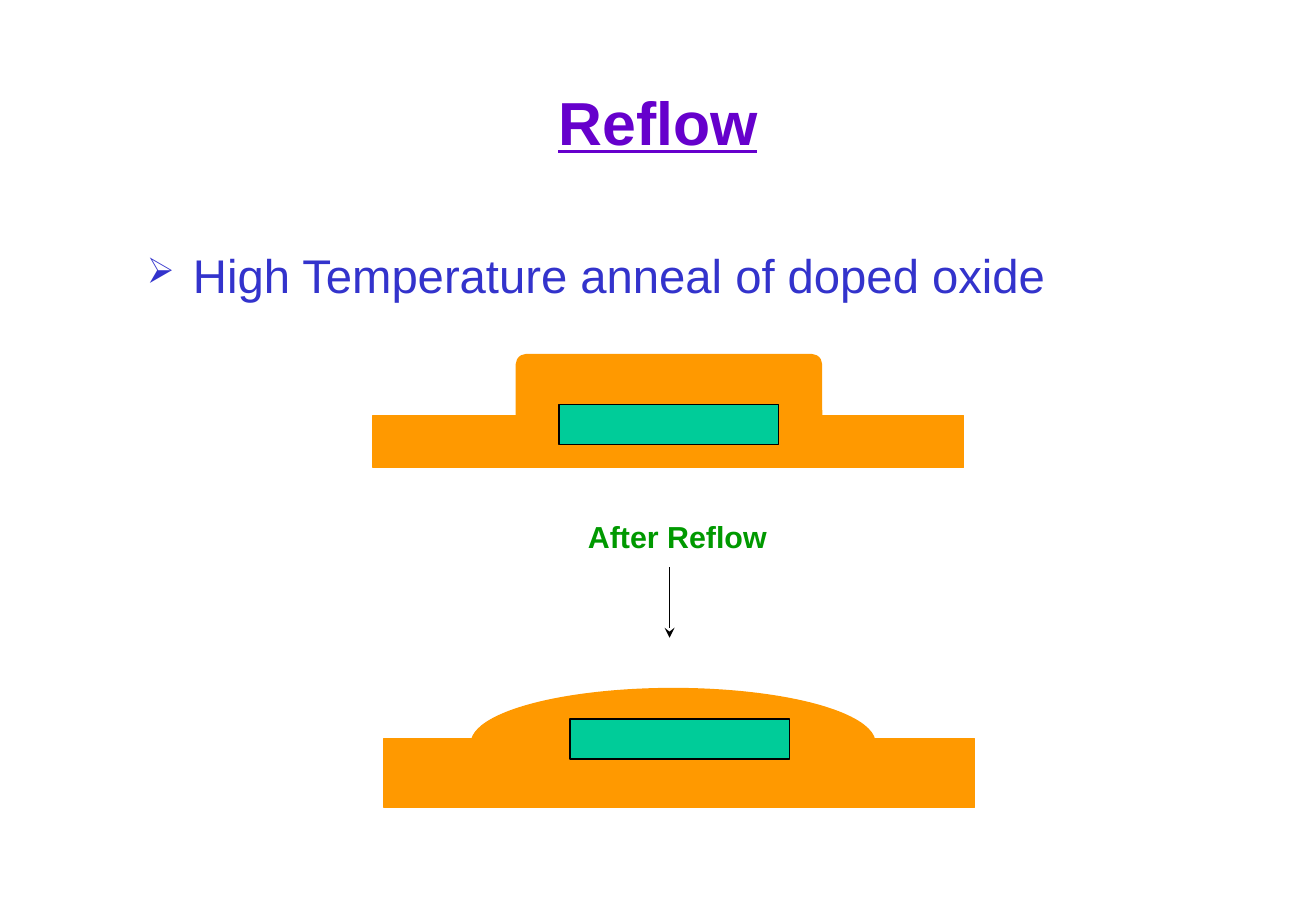
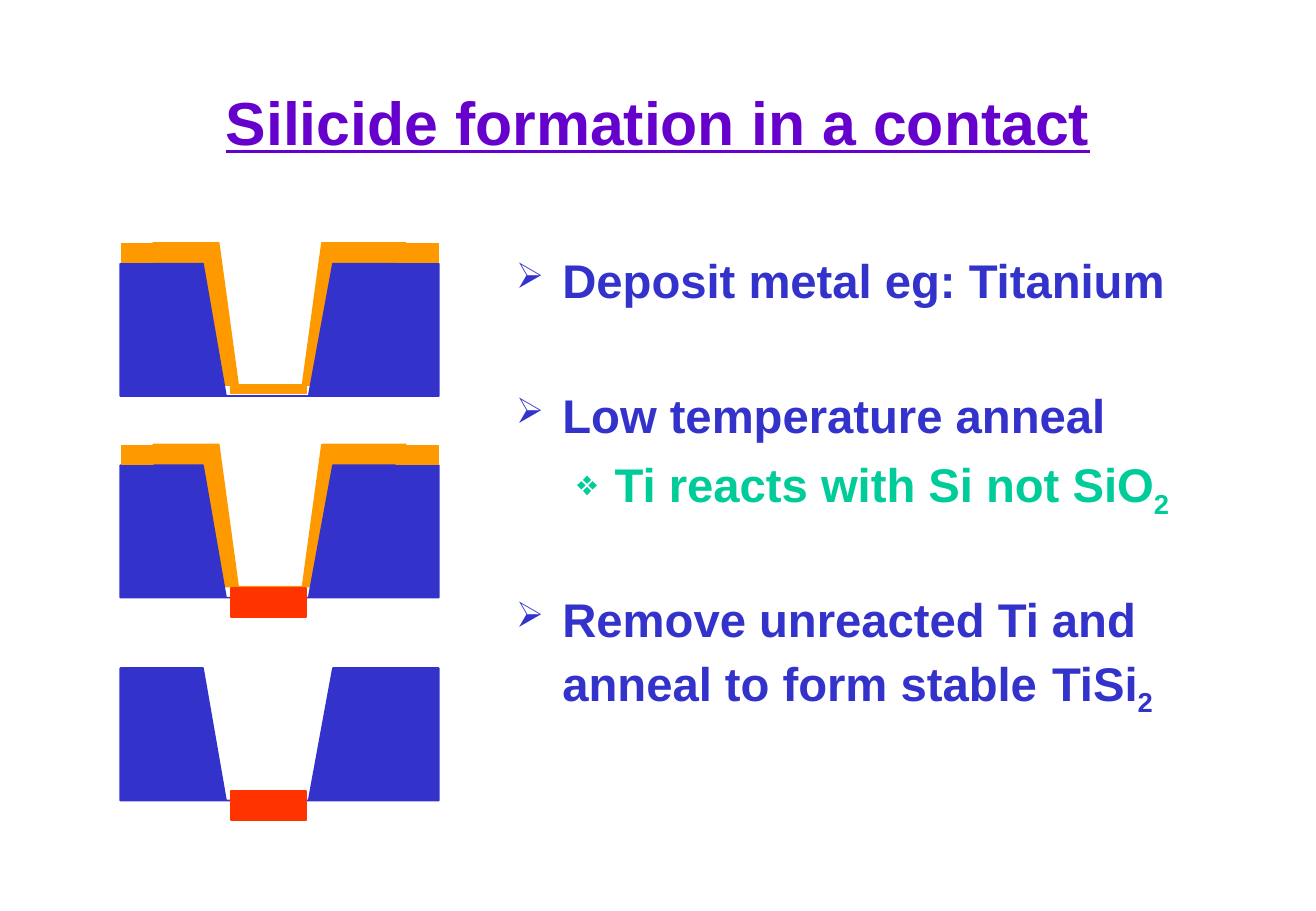
from dataclasses import dataclass
from typing import Optional

from lxml import etree
from pptx import Presentation
from pptx.dml.color import RGBColor
from pptx.enum import shapes, text
from pptx.oxml.ns import qn
from pptx.util import Inches, Pt

COLORS = {
    "title": "6600CC",
    "blue": "3333CC",
    "green": "00CC99",
    "label": "009900",
    "orange": "FF9900",
    "red": "FF3300",
    "black": "000000",
}
FONT = "Arial"
BODY_SIZE = 28
RECTANGLE = shapes.MSO_SHAPE.RECTANGLE
ROUNDED = shapes.MSO_SHAPE.ROUNDED_RECTANGLE
OVAL = shapes.MSO_SHAPE.OVAL


@dataclass(frozen=True)
class Span:
    text: str
    size: int = BODY_SIZE
    subscript: bool = False


@dataclass(frozen=True)
class Bullet:
    spans: tuple[Span, ...]
    before: float = 0
    symbol: str = "➢"
    color: str = "blue"
    bold: bool = True
    margin: float = 0.38
    hanging: float = 0.38


@dataclass(frozen=True)
class Block:
    kind: shapes.MSO_SHAPE
    left: float
    top: float
    width: float
    height: float
    fill: str = "orange"
    line: Optional[str] = None
    weight: float = 1


@dataclass(frozen=True)
class Stage:
    """One step of the contact process; top is the silicon surface."""
    top: float
    metal: bool
    floor: str
    floor_top: float
    floor_height: float


REFLOW_BULLETS = (
    Bullet((Span("High Temperature anneal of doped oxide"),), bold=False),
)
REFLOW_BLOCKS = (
    Block(ROUNDED, 4.25, 2.92, 2.51, 0.65),
    Block(RECTANGLE, 3.07, 3.42, 4.86, 0.43),
    Block(RECTANGLE, 4.6, 3.33, 1.81, 0.33, "green", "black", 0.75),
    Block(OVAL, 3.88, 5.67, 3.32, 0.9),
    Block(RECTANGLE, 3.16, 6.08, 4.86, 0.57),
    Block(RECTANGLE, 4.69, 5.92, 1.81, 0.33, "green", "black", 0.75),
)
CONTACT_BULLETS = (
    Bullet((Span("Deposit metal eg: Titanium"),)),
    Bullet((Span("Low temperature anneal"),), before=46.5),
    Bullet((Span("Ti reacts with Si not SiO"), Span("2", subscript=True)),
           before=7, symbol="❖", color="green", margin=0.81, hanging=0.31),
    Bullet((Span("Remove unreacted Ti and anneal to form stable"),
            Span(" ", size=32), Span("TiSi"), Span("2", subscript=True)),
           before=42),
)
STAGES = (
    Stage(2.17, True, "orange", 1.0, 0.07),
    Stage(3.83, True, "red", 1.01, 0.24),
    Stage(5.5, False, "red", 1.01, 0.24),
)
# Outlines are measured from the silicon surface of their stage.
METAL_OUTLINE = ((1.26, -0.17), (1.8, -0.17), (1.96, 1.0), (2.49, 1.0),
                 (2.65, -0.17), (3.34, -0.17), (3.34, 1.0), (1.26, 1.0))
SILICON_OUTLINE = ((0.99, 0), (1.67, 0), (1.86, 1.09), (2.54, 1.09),
                   (2.74, 0), (3.61, 0), (3.61, 1.09), (0.99, 1.09))
METAL_EDGES = ((1.0, 0.26), (3.26, 0.35))


def rgb(name: str) -> RGBColor:
    return RGBColor.from_string(COLORS[name])


def style_font(font, size: float, color: str, bold: bool) -> None:
    font.name = FONT
    font.size = Pt(size)
    font.bold = bold
    font.color.rgb = rgb(color)


def paint(shape, fill: str, line: str, weight: float = 1) -> None:
    shape.shadow.inherit = False
    shape.fill.solid()
    shape.fill.fore_color.rgb = rgb(fill)
    shape.line.color.rgb = rgb(line)
    shape.line.width = Pt(weight)


def add_titled_slide(deck, title: str):
    page = deck.slides.add_slide(deck.slide_layouts[5])
    box = page.shapes.title
    box.left, box.top = Inches(0.45), Inches(0.37)
    box.width, box.height = Inches(9.93), Inches(1.25)
    box.text_frame.vertical_anchor = text.MSO_ANCHOR.MIDDLE
    para = box.text_frame.paragraphs[0]
    para.alignment = text.PP_ALIGN.CENTER
    span = para.add_run()
    span.text = title
    style_font(span.font, 36, "title", True)
    span.font.underline = True
    return page


def add_block(page, block: Block) -> None:
    shape = page.shapes.add_shape(
        block.kind, Inches(block.left), Inches(block.top),
        Inches(block.width), Inches(block.height))
    if block.kind == ROUNDED:
        shape.adjustments[0] = 0.125
    paint(shape, block.fill, block.line or block.fill, block.weight)


def add_outline(page, points, top: float, color: str) -> None:
    corners = [(Inches(x), Inches(top + y)) for x, y in points]
    builder = page.shapes.build_freeform(*corners[0])
    builder.add_line_segments(corners[1:], close=True)
    paint(builder.convert_to_shape(), color, color)


def set_bullet(para, bullet: Bullet) -> None:
    props = para._p.get_or_add_pPr()
    props.set("marL", str(Inches(bullet.margin)))
    props.set("indent", str(-Inches(bullet.hanging)))
    color = etree.SubElement(props, qn("a:buClr"))
    etree.SubElement(color, qn("a:srgbClr"), val=COLORS[bullet.color])
    etree.SubElement(props, qn("a:buSzPct"), val="75000")
    etree.SubElement(props, qn("a:buChar"), char=bullet.symbol)


def add_bullets(page, bullets: tuple[Bullet, ...], left: float, top: float,
                width: float, height: float) -> None:
    frame = page.shapes.add_textbox(
        Inches(left), Inches(top), Inches(width), Inches(height)).text_frame
    frame.word_wrap = True
    for index, bullet in enumerate(bullets):
        para = frame.add_paragraph() if index else frame.paragraphs[0]
        set_bullet(para, bullet)
        para.space_before = Pt(bullet.before)
        for part in bullet.spans:
            span = para.add_run()
            span.text = part.text
            style_font(span.font, part.size, bullet.color, bullet.bold)
            if part.subscript:
                span._r.get_or_add_rPr().set("baseline", "-25000")


def add_label(page, label: str, left: float, top: float,
              width: float, height: float) -> None:
    frame = page.shapes.add_textbox(
        Inches(left), Inches(top), Inches(width), Inches(height)).text_frame
    frame.word_wrap = False
    span = frame.paragraphs[0].add_run()
    span.text = label
    style_font(span.font, 18, "label", True)


def add_down_arrow(page, x: float, top: float, bottom: float) -> None:
    arrow = page.shapes.add_connector(
        shapes.MSO_CONNECTOR.STRAIGHT,
        Inches(x), Inches(top), Inches(x), Inches(bottom))
    arrow.line.color.rgb = rgb("black")
    arrow.line.width = Pt(1)
    etree.SubElement(arrow.line._get_or_add_ln(), qn("a:tailEnd"),
                     type="stealth")
    etree.SubElement(arrow._element.spPr, qn("a:effectLst"))


def add_stage(page, stage: Stage) -> None:
    if stage.metal:
        add_outline(page, METAL_OUTLINE, stage.top, "orange")
    add_outline(page, SILICON_OUTLINE, stage.top, "blue")
    add_block(page, Block(RECTANGLE, 1.9, stage.top + stage.floor_top, 0.62,
                          stage.floor_height, stage.floor))
    if stage.metal:
        for left, width in METAL_EDGES:
            add_block(page, Block(RECTANGLE, left, stage.top - 0.16,
                                  width, 0.15))


def build_reflow(deck) -> None:
    page = add_titled_slide(deck, "Reflow")
    add_bullets(page, REFLOW_BULLETS, 1.11, 1.98, 8.48, 4.5)
    for block in REFLOW_BLOCKS:
        add_block(page, block)
    add_label(page, "After Reflow", 4.74, 4.22, 1.67, 0.4)
    add_down_arrow(page, 5.51, 4.67, 5.25)


def build_contact(deck) -> None:
    page = add_titled_slide(deck, "Silicide formation in a contact")
    add_bullets(page, CONTACT_BULLETS, 4.15, 2.02, 6.11, 4.42)
    for stage in STAGES:
        add_stage(page, stage)


def main() -> None:
    deck = Presentation()
    deck.slide_width, deck.slide_height = Inches(10.83), Inches(7.5)
    build_reflow(deck)
    build_contact(deck)
    deck.save("out.pptx")


if __name__ == "__main__":
    main()
